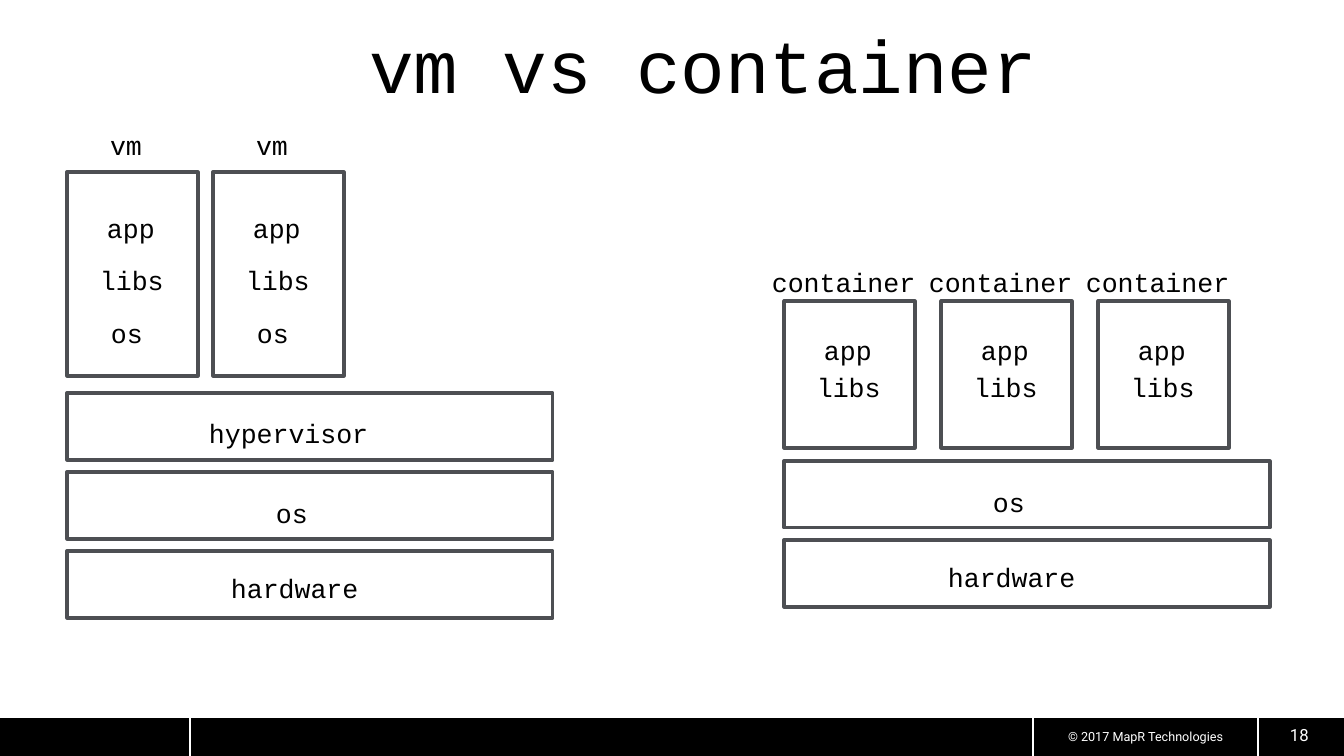
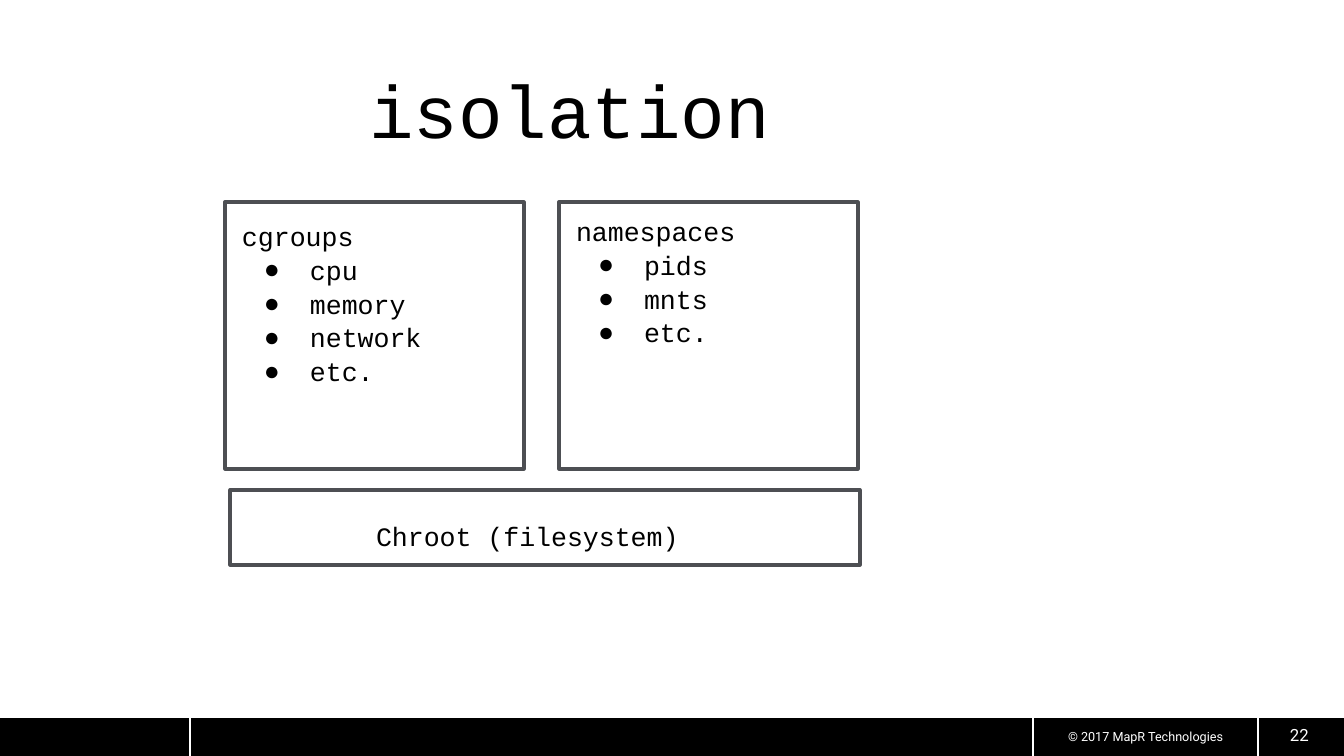
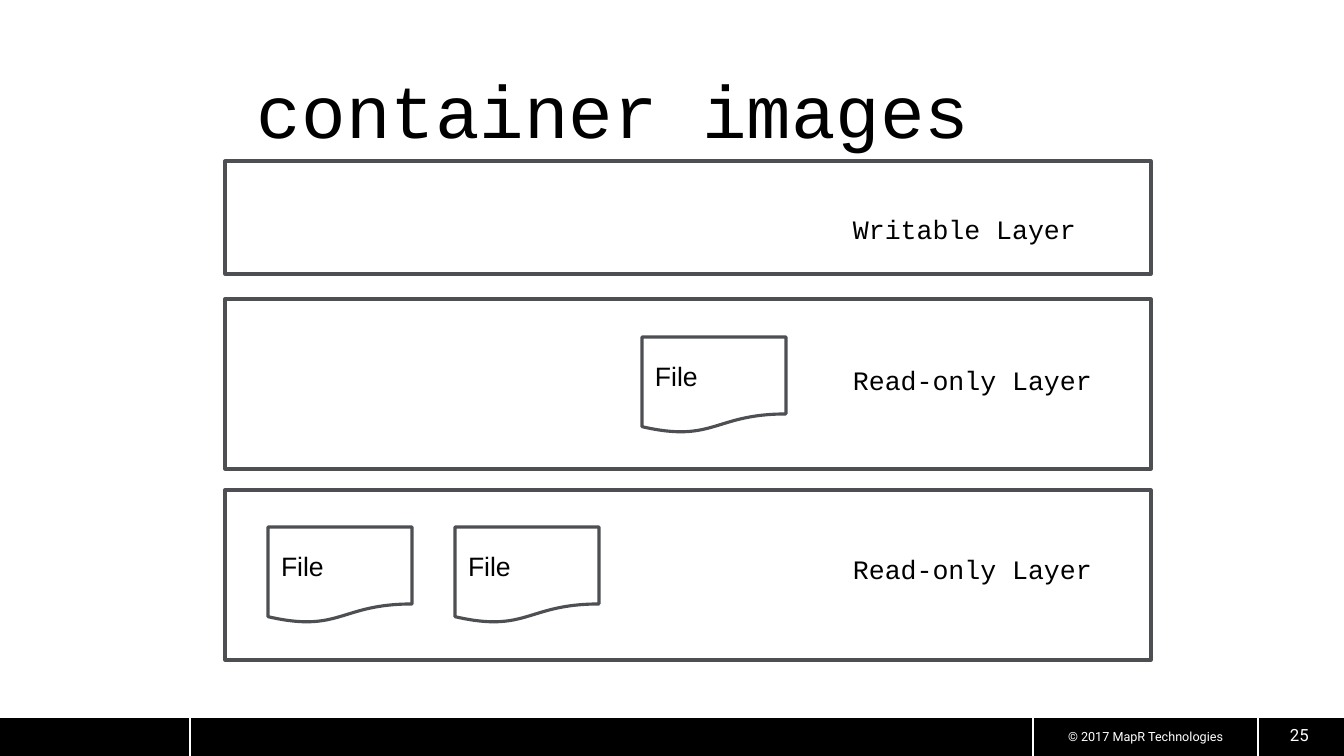
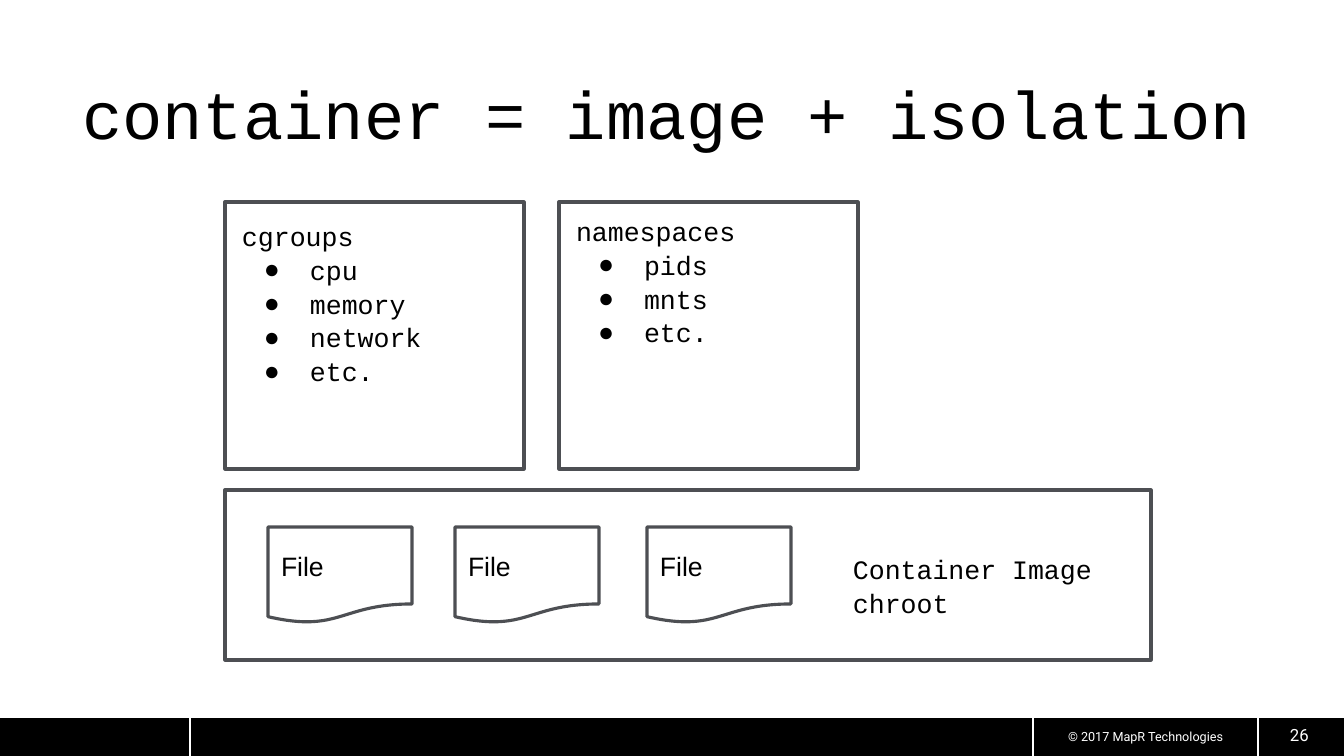
"""Build four slides that explain containers with box diagrams."""

import dataclasses
import typing

import lxml.etree
import pptx
import pptx.dml.color
import pptx.enum.shapes
import pptx.enum.text
import pptx.oxml.ns
import pptx.util

EMU_PER_PX = 12192000 / 1344
SHAPES = pptx.enum.shapes.MSO_SHAPE
ANCHOR = pptx.enum.text.MSO_ANCHOR
ALIGN = pptx.enum.text.PP_ALIGN


@dataclasses.dataclass(frozen=True)
class Theme:
    ink: str = "000000"
    paper: str = "FFFFFF"
    outline: str = "4D4F53"
    mono: str = "Courier New"
    sans: str = "Arial"
    footer_font: str = "Roboto"
    title_size: int = 53
    long_title_size: int = 48
    body_size: int = 19
    number_size: int = 12
    copyright_size: int = 9
    outline_width: float = 2.25
    rule_width: float = 2
    line_gap: float = 1.3


THEME = Theme()


class Area(typing.NamedTuple):
    left: int
    top: int
    width: int
    height: int


class Insets(typing.NamedTuple):
    left: int
    top: int
    right: int
    bottom: int


class TextStyle(typing.NamedTuple):
    font: str
    size: int
    color: str
    insets: Insets
    align: ALIGN = ALIGN.LEFT
    anchor: ANCHOR = ANCHOR.TOP


TITLE = TextStyle(THEME.mono, THEME.title_size, THEME.ink, Insets(13, 27, 13, 13))
LONG_TITLE = TITLE._replace(size=THEME.long_title_size)
BODY = TextStyle(THEME.mono, THEME.body_size, THEME.ink, Insets(13, 18, 13, 13))
GROUPED = BODY._replace(insets=Insets(10, 15, 10, 10))
FILE = TextStyle(THEME.sans, THEME.body_size, THEME.ink, Insets(13, 13, 13, 13), anchor=ANCHOR.MIDDLE)
NUMBER = TextStyle(THEME.footer_font, THEME.number_size, THEME.paper, Insets(10, 5, 10, 5))
COPYRIGHT = TextStyle(THEME.footer_font, THEME.copyright_size, THEME.paper, Insets(0, 0, 0, 0), ALIGN.CENTER)


@dataclasses.dataclass(frozen=True)
class Label:
    text: str
    area: Area
    style: TextStyle = BODY


@dataclasses.dataclass(frozen=True)
class BulletList:
    heading: str
    items: tuple[str, ...]
    box: Area
    text_area: Area


@dataclasses.dataclass(frozen=True)
class Page:
    number: int
    title: Label
    boxes: tuple[Area, ...]
    labels: tuple[Label, ...]
    files: tuple[Area, ...] = ()
    lists: tuple[BulletList, ...] = ()


def px(length: float) -> pptx.util.Emu:
    return pptx.util.Emu(round(length * EMU_PER_PX))


def rgb(color: str) -> pptx.dml.color.RGBColor:
    return pptx.dml.color.RGBColor.from_string(color)


def apply_format(target: typing.Any, values: dict[str, typing.Any]) -> None:
    for name, value in values.items():
        setattr(target, name, value)


def place(shape: typing.Any, area: Area) -> None:
    apply_format(shape, {name: px(value) for name, value in area._asdict().items()})


def add_bullet(paragraph: typing.Any, bulleted: bool) -> None:
    properties = paragraph._p.get_or_add_pPr()
    properties.set("marL", str(px(68 if bulleted else 0)))
    properties.set("indent", str(px(-46 if bulleted else 0)))
    tag = pptx.oxml.ns.qn
    if not bulleted:
        lxml.etree.SubElement(properties, tag("a:buNone"))
        return
    color = lxml.etree.SubElement(properties, tag("a:buClr"))
    lxml.etree.SubElement(color, tag("a:srgbClr")).set("val", THEME.ink)
    lxml.etree.SubElement(properties, tag("a:buChar")).set("char", "●")


def write(shape: typing.Any, lines: typing.Sequence[str], style: TextStyle, bulleted: bool = False) -> None:
    frame = shape.text_frame
    apply_format(frame, {
        "word_wrap": True,
        "auto_size": pptx.enum.text.MSO_AUTO_SIZE.NONE,
        "vertical_anchor": style.anchor,
    })
    apply_format(frame, {f"margin_{side}": px(value) for side, value in style.insets._asdict().items()})
    for index, line in enumerate(lines):
        paragraph = frame.add_paragraph() if index else frame.paragraphs[0]
        if bulleted:
            add_bullet(paragraph, index > 0)
        apply_format(paragraph, {
            "alignment": style.align,
            "space_before": pptx.util.Pt(THEME.line_gap if index else 0),
            "line_spacing": 1.0,
        })
        run = paragraph.add_run()
        run.text = line
        apply_format(run.font, {"name": style.font, "size": pptx.util.Pt(style.size)})
        run.font.color.rgb = rgb(style.color)


def add_label(slide: typing.Any, label: Label) -> typing.Any:
    shape = slide.shapes.add_textbox(*map(px, label.area))
    write(shape, label.text.split("\n"), label.style)
    return shape


def add_box(slide: typing.Any, area: Area, kind: SHAPES = SHAPES.FLOWCHART_PROCESS) -> typing.Any:
    shape = slide.shapes.add_shape(kind, *map(px, area))
    shape.shadow.inherit = False
    shape.fill.solid()
    shape.fill.fore_color.rgb = rgb(THEME.paper)
    shape.line.color.rgb = rgb(THEME.outline)
    shape.line.width = pptx.util.Pt(THEME.outline_width)
    return shape


def add_rule(slide: typing.Any, start: tuple[int, int], end: tuple[int, int]) -> typing.Any:
    rule = slide.shapes.add_connector(pptx.enum.shapes.MSO_CONNECTOR.STRAIGHT, *map(px, start + end))
    rule.line.color.rgb = rgb(THEME.paper)
    rule.line.width = pptx.util.Pt(THEME.rule_width)
    lxml.etree.SubElement(rule.element.spPr, pptx.oxml.ns.qn("a:effectLst"))
    return rule


def add_footer(slide: typing.Any, master: typing.Any) -> None:
    band = add_box(slide, Area(0, 718, 1344, 38), SHAPES.RECTANGLE)
    band.fill.fore_color.rgb = rgb(THEME.ink)
    band.line.fill.background()
    parts = [band, add_label(slide, Label("© 2017 MapR Technologies", Area(1033, 729, 225, 15), COPYRIGHT))]
    parts += [add_rule(slide, (left, 717), (left, 756)) for left in (190, 1033, 1258)]
    parts.append(add_rule(slide, (0, 717), (1344, 717)))
    for identifier, part in enumerate(parts, start=20):
        part.element.xpath(".//p:cNvPr")[0].set("id", str(identifier))
        master.shapes.element.append(part.element)


def fill_slide(slide: typing.Any, page: Page) -> None:
    place(slide.shapes.title, page.title.area)
    write(slide.shapes.title, [page.title.text], page.title.style)
    for area in page.boxes:
        add_box(slide, area)
    for area in page.files:
        write(add_box(slide, area, SHAPES.FLOWCHART_DOCUMENT), ["File"], FILE)
    bodies = list(slide.placeholders)[1:]
    for body, bullet_list in zip(bodies, page.lists):
        add_box(slide, bullet_list.box)
        place(body, bullet_list.text_area)
        write(body, [bullet_list.heading, *bullet_list.items], BODY, bulleted=True)
        slide.shapes.element.append(body.element)
    page_number = Label(str(page.number), Area(1280, 720, 60, 33), NUMBER)
    for label in (*page.labels, page_number):
        add_label(slide, label)


def comparison_page() -> Page:
    bar_labels = {
        "hypervisor": Area(129, 6, 209, 52),
        "os": Area(196, 7, 97, 52),
        "hardware": Area(151, 3, 290, 39),
    }
    vm_labels = {
        "vm": Area(33, 114, 68, 52),
        "app": Area(30, 197, 97, 52),
        "libs": Area(23, 249, 97, 52),
        "os": Area(34, 302, 97, 52),
    }
    container_labels = {
        "container": Area(-22, 251, 202, 37),
        "app": Area(30, 319, 97, 37),
        "libs": Area(23, 356, 97, 37),
    }
    boxes: list[Area] = []
    labels: list[Label] = []

    def add_group(box: Area, texts: dict[str, Area], top: int, style: TextStyle) -> None:
        boxes.append(box)
        for text, offset in texts.items():
            area = offset._replace(left=box.left + offset.left, top=top + offset.top)
            labels.append(Label(text, area, style))

    stacks = ((67, 393, ("hypervisor", "os", "hardware")), (784, 461, ("os", "hardware")))
    for left, first_top, names in stacks:
        for row, name in enumerate(names):
            bar = Area(left, first_top + 79 * row, 486, 67)
            add_group(bar, {name: bar_labels[name]}, bar.top, BODY)
    for column in range(2):
        add_group(Area(67 + 146 * column, 172, 131, 204), vm_labels, 0, GROUPED)
    for column in range(3):
        add_group(Area(784 + 157 * column, 301, 131, 147), container_labels, 0, GROUPED)
    title = Label("vm vs container", Area(356, -8, 710, 101), TITLE)
    return Page(18, title, tuple(boxes), tuple(labels))


def build_pages() -> list[Page]:
    lists = (
        BulletList("cgroups", ("cpu", "memory", "network", "etc."),
                   Area(225, 202, 299, 267), Area(229, 202, 290, 55)),
        BulletList("namespaces", ("pids", "mnts", "etc."),
                   Area(559, 202, 299, 267), Area(563, 197, 290, 55)),
    )
    bottom_layer = Area(225, 490, 926, 170)
    bottom_text = Area(840, 535, 290, 101)
    bottom_files = (Area(268, 527, 144, 96), Area(455, 527, 144, 96))
    return [
        comparison_page(),
        Page(22, Label("isolation", Area(356, 37, 478, 101), TITLE),
             boxes=(Area(230, 490, 630, 75),),
             labels=(Label("Chroot (filesystem)", Area(363, 502, 363, 33)),),
             lists=lists),
        Page(25, Label("container images", Area(244, 37, 1074, 101), TITLE),
             boxes=(bottom_layer, bottom_layer._replace(top=299),
                    bottom_layer._replace(top=161, height=113)),
             labels=(Label("Read-only Layer", bottom_text),
                     Label("Read-only Layer", bottom_text._replace(top=346)),
                     Label("Writable Layer", bottom_text._replace(top=195))),
             files=(*bottom_files, Area(642, 337, 144, 96))),
        Page(26, Label("container = image + isolation", Area(69, 45, 1244, 101), LONG_TITLE),
             boxes=(bottom_layer,),
             labels=(Label("Container Image\nchroot", bottom_text),),
             files=(*bottom_files, Area(647, 527, 144, 96)),
             lists=lists),
    ]


def main() -> None:
    presentation = pptx.Presentation()
    apply_format(presentation, {"slide_width": px(1344), "slide_height": px(756)})
    layouts = presentation.slide_layouts
    for index, page in enumerate(build_pages()):
        layout = layouts.get_by_name("Two Content" if page.lists else "Title Only")
        slide = presentation.slides.add_slide(layout)
        if index == 0:
            add_footer(slide, presentation.slide_master)
        fill_slide(slide, page)
    presentation.save("out.pptx")


if __name__ == "__main__":
    main()
